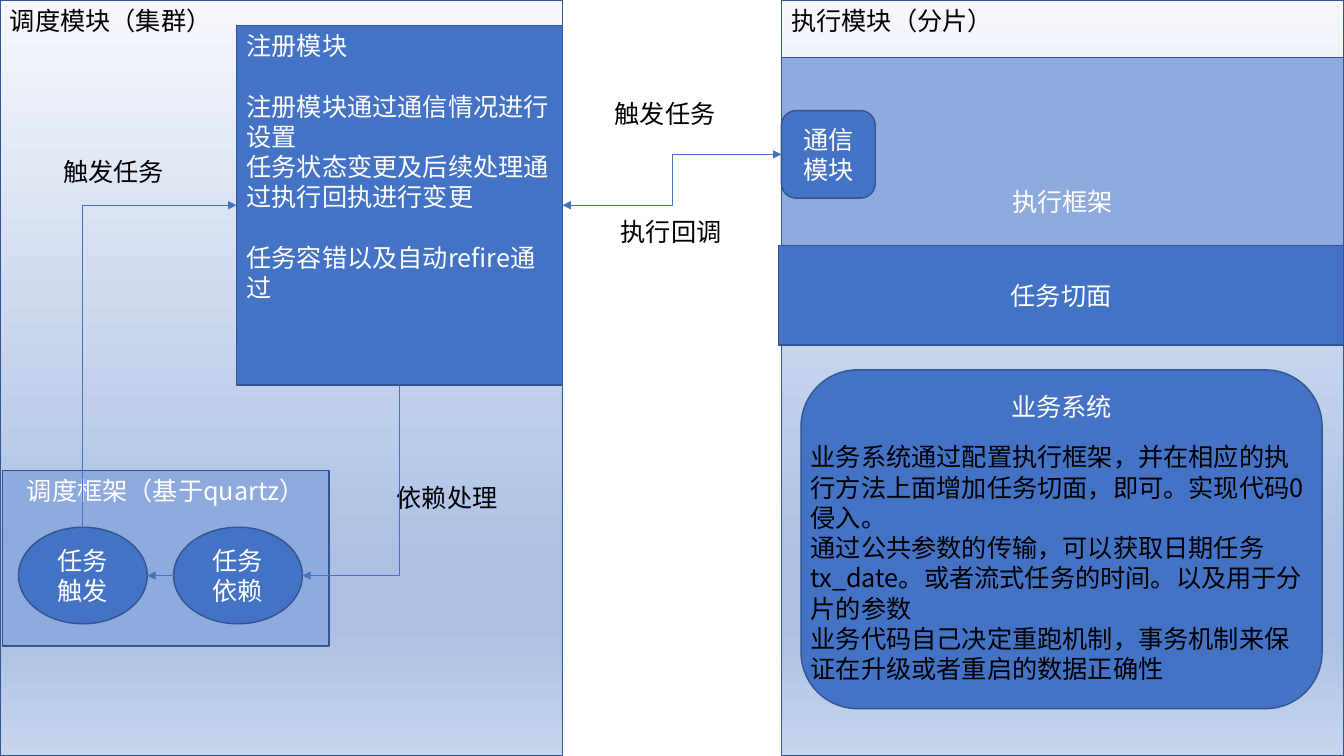
from dataclasses import dataclass

from lxml import etree
from pptx import Presentation
from pptx.dml.color import RGBColor
from pptx.enum.shapes import MSO_CONNECTOR, MSO_SHAPE
from pptx.enum.text import MSO_ANCHOR, MSO_AUTO_SIZE, PP_ALIGN
from pptx.oxml import parse_xml
from pptx.oxml.ns import nsdecls, qn
from pptx.util import Pt

RECT, ROUNDED, OVAL = MSO_SHAPE.RECTANGLE, MSO_SHAPE.ROUNDED_RECTANGLE, MSO_SHAPE.OVAL
STRAIGHT, ELBOW = MSO_CONNECTOR.STRAIGHT, MSO_CONNECTOR.ELBOW
LEFT, CENTER = PP_ALIGN.LEFT, PP_ALIGN.CENTER
TOP, MIDDLE = MSO_ANCHOR.TOP, MSO_ANCHOR.MIDDLE
FIT_SHAPE = MSO_AUTO_SIZE.SHAPE_TO_FIT_TEXT

FONT, FONT_SIZE, LINE_GAP = "Noto Sans CJK SC", 18, 21.6
BLUE, PALE_BLUE, OUTLINE = "4472C4", "8FAADC", "325491"
BLACK, WHITE = "000000", "FFFFFF"
PANEL_STOPS = ((0, "F6F8FC"), (74, "ABC0E4"), (83, "ABC0E4"), (100, "C7D5ED"))
SITES = {
    RECT: {"top": 0, "left": 1, "bottom": 2, "right": 3},
    ROUNDED: {"top": 0, "left": 1, "bottom": 2, "right": 3},
    OVAL: {"top": 0, "left": 2, "bottom": 4, "right": 6},
}
SIDES = {"top": (0.5, 0), "left": (0, 0.5), "bottom": (0.5, 1), "right": (1, 0.5)}


@dataclass
class Block:
    """A filled shape with text; fill None means the panel gradient."""
    name: str
    left: float
    top: float
    width: float
    height: float
    lines: tuple
    kind: int = RECT
    fill: str | None = BLUE
    color: str = WHITE
    align: int = CENTER
    anchor: int = MIDDLE
    gaps: tuple = ()


@dataclass
class Label:
    """A free text box; without a width it is a one-line label."""
    left: float
    top: float
    lines: tuple
    width: float = 87
    height: float = 29
    wrap: bool = False


@dataclass
class Link:
    """A connector between the sides of two blocks."""
    start: tuple
    end: tuple
    preset: str
    arrows: tuple


BLOCKS = [
    Block("scheduling", 0, 0, 401.8, 540, ("调度模块（集群）",),
          fill=None, color=BLACK, align=LEFT, anchor=TOP),
    Block("execution", 558.2, 0, 401.8, 540, ("执行模块（分片）",),
          fill=None, color=BLACK, align=LEFT, anchor=TOP),
    Block("execution frame", 558.2, 41, 401.8, 205.6, ("执行框架",), fill=PALE_BLUE),
    Block("registry", 169, 18.2, 232.8, 256.8,
          ("注册模块", "注册模块通过通信情况进行设置",
           "任务状态变更及后续处理通过执行回执进行变更", "任务容错以及自动refire通过"),
          align=LEFT, anchor=TOP, gaps=(1, 3)),
    Block("aspect", 556, 175.2, 404, 71.2, ("任务切面",)),
    Block("business", 572.2, 264.2, 372.2, 242, ("业务系统",), kind=ROUNDED, anchor=TOP),
    Block("scheduling frame", 1.8, 336.2, 233.3, 125.3, ("调度框架（基于quartz）",),
          fill=PALE_BLUE, anchor=TOP),
    Block("trigger", 13.2, 376.6, 92, 69, ("任务触发",), kind=OVAL),
    Block("dependency", 124, 376.6, 92, 69, ("任务依赖",), kind=OVAL),
    Block("communication", 558.2, 79, 67, 62.6, ("通信模块",), kind=ROUNDED),
]
LABELS = [
    Label(432, 67, ("触发任务",)),
    Label(436.3, 151.2, ("执行回调",)),
    Label(38, 108, ("触发任务",)),
    Label(276.3, 340.6, ("依赖处理",)),
    Label(572, 312,
          ("业务系统通过配置执行框架，并在相应的执行方法上面增加任务切面，即可。实现代码0侵入。",
           "通过公共参数的传输，可以获取日期任务tx_date。或者流式任务的时间。以及用于分片的参数",
           "业务代码自己决定重跑机制，事务机制来保证在升级或者重启的数据正确性"),
          width=372.2, height=181.4, wrap=True),
]
LINKS = [
    Link(("registry", "left"), ("trigger", "top"), "bentConnector2", ("headEnd",)),
    Link(("dependency", "right"), ("registry", "bottom"), "bentConnector2", ("headEnd",)),
    Link(("registry", "right"), ("communication", "left"), "bentConnector3",
         ("headEnd", "tailEnd")),
    Link(("dependency", "left"), ("trigger", "right"), "line", ("tailEnd",)),
]


def rgb(value: str) -> RGBColor:
    """Turn a hex string into a colour."""
    return RGBColor.from_string(value)


def write_text(frame, lines, *, color=BLACK, align=LEFT, anchor=TOP, wrap=True, gaps=()) -> None:
    """Fill a text frame, one paragraph a line; gaps lists lines set one line lower."""
    frame.word_wrap = wrap
    frame.vertical_anchor = anchor
    for index, line in enumerate(lines):
        para = frame.paragraphs[0] if index == 0 else frame.add_paragraph()
        para.alignment = align
        if index in gaps:
            para.space_before = Pt(LINE_GAP)
        span = para.add_run()
        span.text = line
        span.font.size = Pt(FONT_SIZE)
        span.font.name = FONT
        span.font.color.rgb = rgb(color)
        etree.SubElement(span.font._element, qn("a:ea"), typeface=FONT)


def fill_panel(box) -> None:
    """Give a shape the vertical panel gradient."""
    stops = "".join(f'<a:gs pos="{place * 1000}"><a:srgbClr val="{color}"/></a:gs>'
                    for place, color in PANEL_STOPS)
    gradient = parse_xml(f'<a:gradFill {nsdecls("a")} rotWithShape="1"><a:gsLst>{stops}</a:gsLst>'
                         '<a:lin ang="5400000" scaled="0"/></a:gradFill>')
    box._element.spPr.find(qn("a:prstGeom")).addnext(gradient)


def draw_block(page, block: Block):
    """Draw a block and return its shape."""
    box = page.shapes.add_shape(block.kind, Pt(block.left), Pt(block.top),
                                Pt(block.width), Pt(block.height))
    box.shadow.inherit = False
    box.line.color.rgb = rgb(OUTLINE)
    box.line.width = Pt(1)
    if block.fill is None:
        fill_panel(box)
    else:
        box.fill.solid()
        box.fill.fore_color.rgb = rgb(block.fill)
    write_text(box.text_frame, block.lines, color=block.color, align=block.align,
               anchor=block.anchor, gaps=block.gaps)
    return box


def draw_label(page, label: Label) -> None:
    """Draw a free text box."""
    box = page.shapes.add_textbox(Pt(label.left), Pt(label.top), Pt(label.width), Pt(label.height))
    write_text(box.text_frame, label.lines, wrap=label.wrap)
    box.text_frame.auto_size = FIT_SHAPE


def side_point(box, side: str) -> tuple:
    """Return the middle of one side of a shape."""
    across, down = SIDES[side]
    return int(box.left + across * box.width), int(box.top + down * box.height)


def draw_link(page, link: Link, boxes: dict) -> None:
    """Draw a connector glued to its two shapes."""
    points = [side_point(boxes[name], side) for name, side in (link.start, link.end)]
    route = STRAIGHT if link.preset == "line" else ELBOW
    connector = page.shapes.add_connector(route, *points[0], *points[1])
    connector.line.color.rgb = rgb(BLUE)
    connector.line.width = Pt(0.5)
    properties = connector._element.spPr
    properties.find(qn("a:prstGeom")).set("prst", link.preset)
    for arrow in link.arrows:
        etree.SubElement(connector.line._get_or_add_ln(), qn(f"a:{arrow}"), type="triangle")
    etree.SubElement(properties, qn("a:effectLst"))
    glue = connector._element.nvCxnSpPr.cNvCxnSpPr
    for tag, (name, side) in (("a:stCxn", link.start), ("a:endCxn", link.end)):
        box = boxes[name]
        etree.SubElement(glue, qn(tag), id=str(box.shape_id),
                         idx=str(SITES[box.auto_shape_type][side]))


def main() -> None:
    """Build the slide and save it."""
    deck = Presentation()
    deck.slide_width, deck.slide_height = Pt(960), Pt(540)
    page = deck.slides.add_slide(deck.slide_layouts[6])
    boxes = {block.name: draw_block(page, block) for block in BLOCKS}
    for label in LABELS:
        draw_label(page, label)
    for link in LINKS:
        draw_link(page, link, boxes)
    deck.save("out.pptx")


main()
